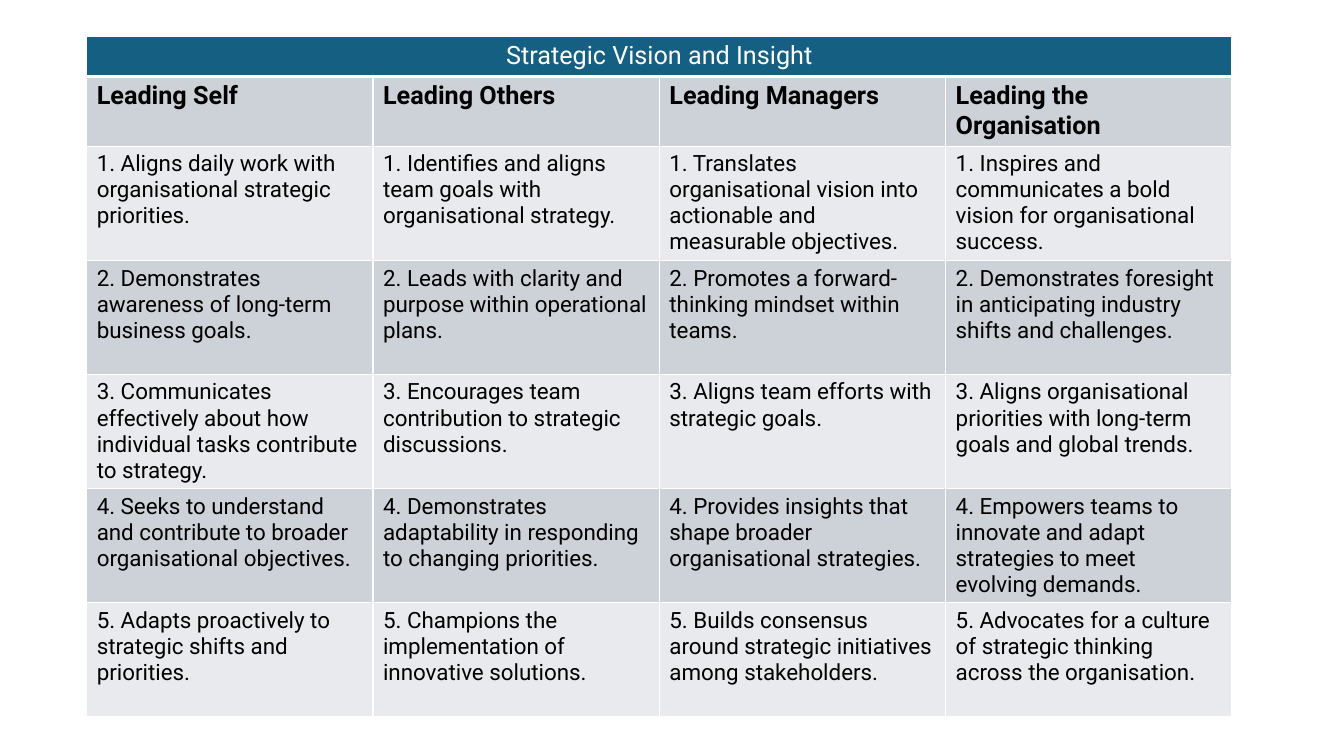
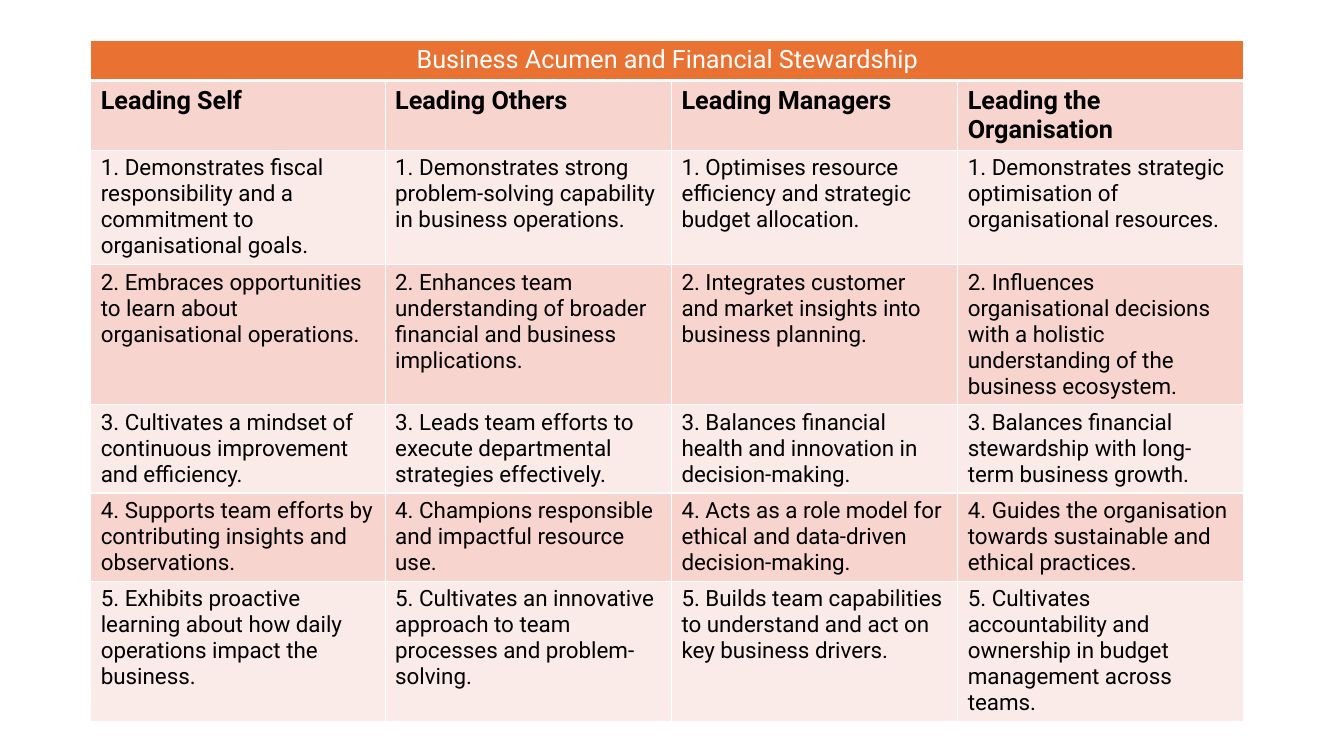
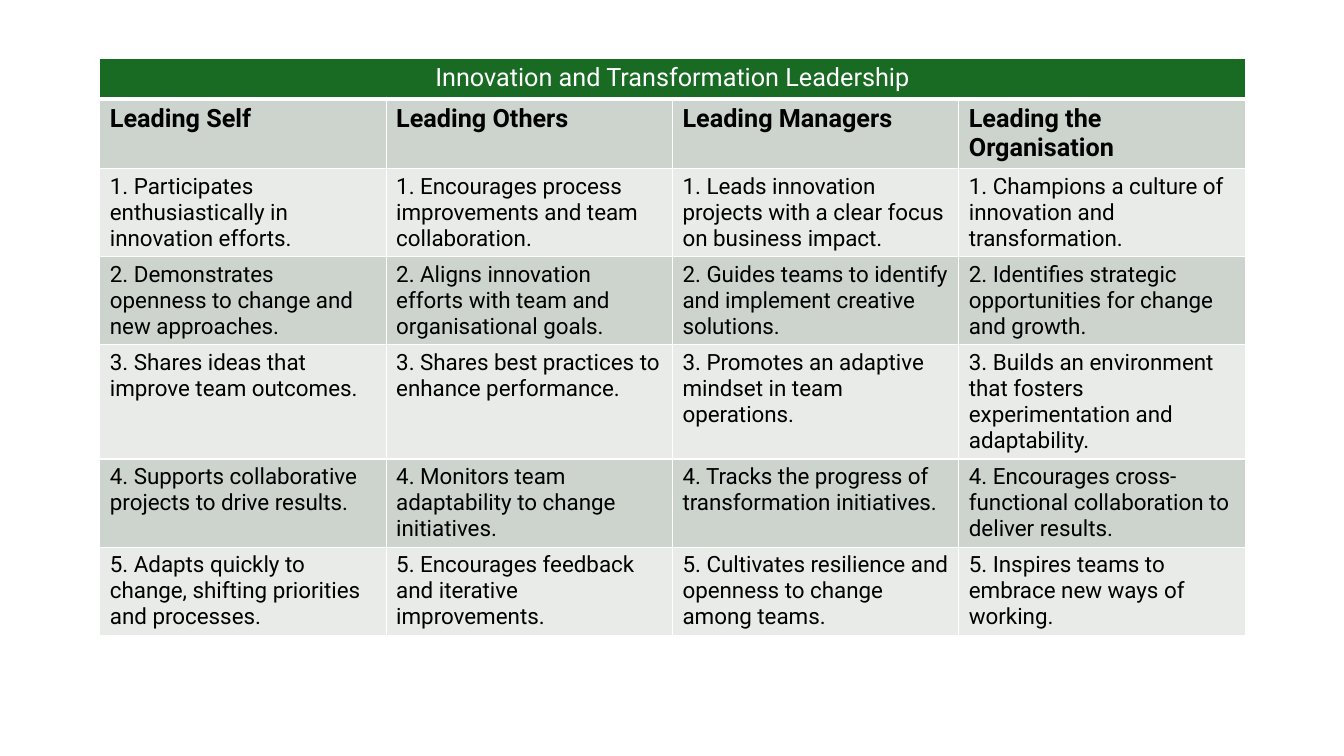
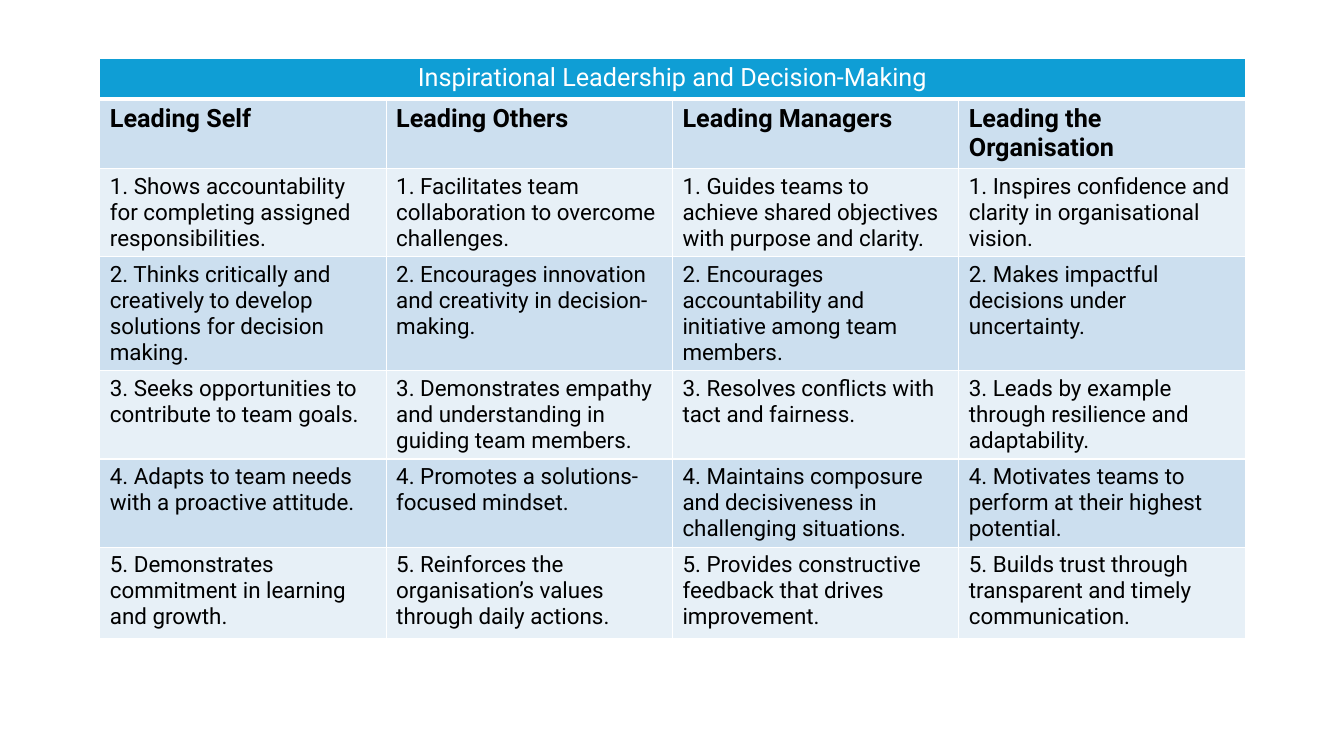
from pptx import Presentation
from pptx.dml.color import RGBColor
from pptx.enum.text import PP_ALIGN
from pptx.oxml.ns import qn
from pptx.util import Inches, Pt
from lxml.etree import SubElement

FONT = "Roboto"
WHITE = "FFFFFF"
BLACK = "000000"
LEVELS = ["Leading Self", "Leading Others", "Leading Managers", "Leading the Organisation"]
HEADING_HEIGHTS = [0.4, 0.69]
COLUMN_WIDTH = 2.84

competencies = [
    {
        "name": "Strategic Vision and Insight",
        "colours": ("156082", "CCD2D8", "E8EAED"),
        "corner": (0.86, 0.36),
        "first_width": COLUMN_WIDTH,
        "heights": [1.13, 1.13, 1.13, 1.13, 1.13],
        "behaviours": [
            ["Aligns daily work with organisational strategic priorities.",
             "Identifies and aligns team goals with organisational strategy.",
             "Translates organisational vision into actionable and measurable objectives.",
             "Inspires and communicates a bold vision for organisational success."],
            ["Demonstrates awareness of long-term business goals.",
             "Leads with clarity and purpose within operational plans.",
             "Promotes a forward-thinking mindset within teams.",
             "Demonstrates foresight in anticipating industry shifts and challenges."],
            ["Communicates effectively about how individual tasks contribute to strategy.",
             "Encourages team contribution to strategic discussions.",
             "Aligns team efforts with strategic goals.",
             "Aligns organisational priorities with long-term goals and global trends."],
            ["Seeks to understand and contribute to broader organisational objectives.",
             "Demonstrates adaptability in responding to changing priorities.",
             "Provides insights that shape broader organisational strategies.",
             "Empowers teams to innovate and adapt strategies to meet evolving demands."],
            ["Adapts proactively to strategic shifts and priorities.",
             "Champions the implementation of innovative solutions.",
             "Builds consensus around strategic initiatives among stakeholders.",
             "Advocates for a culture of strategic thinking across the organisation."],
        ],
    },
    {
        "name": "Business Acumen and Financial Stewardship",
        "colours": ("E97132", "F7D5CE", "FBEBE8"),
        "corner": (0.9, 0.4),
        "first_width": 2.92,
        "heights": [1.13, 1.39, 0.87, 0.87, 1.39],
        "behaviours": [
            ["Demonstrates fiscal responsibility and a commitment to organisational goals.",
             "Demonstrates strong problem-solving capability in business operations.",
             "Optimises resource efficiency and strategic budget allocation.",
             "Demonstrates strategic optimisation of organisational resources."],
            ["Embraces opportunities to learn about organisational operations.",
             "Enhances team understanding of broader financial and business implications.",
             "Integrates customer and market insights into business planning.",
             "Influences organisational decisions with a holistic understanding of the business ecosystem."],
            ["Cultivates a mindset of continuous improvement and efficiency.",
             "Leads team efforts to execute departmental strategies effectively.",
             "Balances financial health and innovation in decision-making.",
             "Balances financial stewardship with long-term business growth."],
            ["Supports team efforts by contributing insights and observations.",
             "Champions responsible and impactful resource use.",
             "Acts as a role model for ethical and data-driven decision-making.",
             "Guides the organisation towards sustainable and ethical practices."],
            ["Exhibits proactive learning about how daily operations impact the business.",
             "Cultivates an innovative approach to team processes and problem-solving.",
             "Builds team capabilities to understand and act on key business drivers.",
             "Cultivates accountability and ownership in budget management across teams."],
        ],
    },
    {
        "name": "Innovation and Transformation Leadership",
        "colours": ("196B24", "CCD4CD", "E8EBE8"),
        "corner": (0.99, 0.58),
        "first_width": COLUMN_WIDTH,
        "heights": [0.87, 0.87, 1.13, 0.87, 0.87],
        "behaviours": [
            ["Participates enthusiastically in innovation efforts.",
             "Encourages process improvements and team collaboration.",
             "Leads innovation projects with a clear focus on business impact.",
             "Champions a culture of innovation and transformation."],
            ["Demonstrates openness to change and new approaches.",
             "Aligns innovation efforts with team and organisational goals.",
             "Guides teams to identify and implement creative solutions.",
             "Identifies strategic opportunities for change and growth."],
            ["Shares ideas that improve team outcomes.",
             "Shares best practices to enhance performance.",
             "Promotes an adaptive mindset in team operations.",
             "Builds an environment that fosters experimentation and adaptability."],
            ["Supports collaborative projects to drive results.",
             "Monitors team adaptability to change initiatives.",
             "Tracks the progress of transformation initiatives.",
             "Encourages cross-functional collaboration to deliver results."],
            ["Adapts quickly to change, shifting priorities and processes.",
             "Encourages feedback and iterative improvements.",
             "Cultivates resilience and openness to change among teams.",
             "Inspires teams to embrace new ways of working."],
        ],
    },
    {
        "name": "Inspirational Leadership and Decision-Making",
        "colours": ("0F9ED5", "CCDFEF", "E7F0F7"),
        "corner": (0.99, 0.58),
        "first_width": COLUMN_WIDTH,
        "heights": [0.87, 1.13, 0.87, 0.87, 0.91],
        "behaviours": [
            ["Shows accountability for completing assigned responsibilities.",
             "Facilitates team collaboration to overcome challenges.",
             "Guides teams to achieve shared objectives with purpose and clarity.",
             "Inspires confidence and clarity in organisational vision."],
            ["Thinks critically and creatively to develop solutions for decision making.",
             "Encourages innovation and creativity in decision-making.",
             "Encourages accountability and initiative among team members.",
             "Makes impactful decisions under uncertainty."],
            ["Seeks opportunities to contribute to team goals.",
             "Demonstrates empathy and understanding in guiding team members.",
             "Resolves conflicts with tact and fairness.",
             "Leads by example through resilience and adaptability."],
            ["Adapts to team needs with a proactive attitude.",
             "Promotes a solutions-focused mindset.",
             "Maintains composure and decisiveness in challenging situations.",
             "Motivates teams to perform at their highest potential."],
            ["Demonstrates commitment in learning and growth.",
             "Reinforces the organisation’s values through daily actions.",
             "Provides constructive feedback that drives improvement.",
             "Builds trust through transparent and timely communication."],
        ],
    },
]


def paint(colour_format, colour):
    colour_format.rgb = RGBColor.from_string(colour)


def style_cell(cell, fill, top=1, bottom=1):
    properties = cell._tc.get_or_add_tcPr()
    for side, points in (("L", 1), ("R", 1), ("T", top), ("B", bottom)):
        border = SubElement(properties, qn(f"a:ln{side}"), w=str(Pt(points)))
        SubElement(SubElement(border, qn("a:solidFill")), qn("a:srgbClr"), val=WHITE)
    cell.fill.solid()
    paint(cell.fill.fore_color, fill)


prs = Presentation()
prs.slide_width = Inches(13.33)
prs.slide_height = Inches(7.5)

for competency in competencies:
    slide = prs.slides.add_slide(prs.slide_layouts[6])
    banner, dark_band, light_band = competency["colours"]
    left, top = competency["corner"]
    widths = [competency["first_width"]] + [COLUMN_WIDTH] * 3
    heights = HEADING_HEIGHTS + competency["heights"]
    numbered = [[f"{number}. {behaviour}" for behaviour in behaviours]
                for number, behaviours in enumerate(competency["behaviours"], 1)]
    rows = [[competency["name"], "", "", ""], LEVELS] + numbered

    matrix = slide.shapes.add_table(
        len(rows), len(LEVELS), Inches(left), Inches(top),
        Inches(sum(widths)), Inches(sum(heights))).table
    for column, width in zip(matrix.columns, widths):
        column.width = Inches(width)
    for row, height in zip(matrix.rows, heights):
        row.height = Inches(height)
    matrix.cell(0, 0).merge(matrix.cell(0, len(LEVELS) - 1))

    for r, texts in enumerate(rows):
        fill = banner if r == 0 else dark_band if r % 2 else light_band
        for c, text in enumerate(texts):
            cell = matrix.cell(r, c)
            style_cell(cell, fill, 3 if r == 1 else 1, 3 if r == 0 else 1)
            if not text:
                continue
            paragraph = cell.text_frame.paragraphs[0]
            paragraph.alignment = PP_ALIGN.CENTER if r == 0 else PP_ALIGN.LEFT
            run = paragraph.add_run()
            run.text = text
            run.font.name = FONT
            run.font.size = Pt(18 if r < 2 else 16)
            run.font.bold = r == 1
            paint(run.font.color, WHITE if r == 0 else BLACK)

prs.save("out.pptx")
